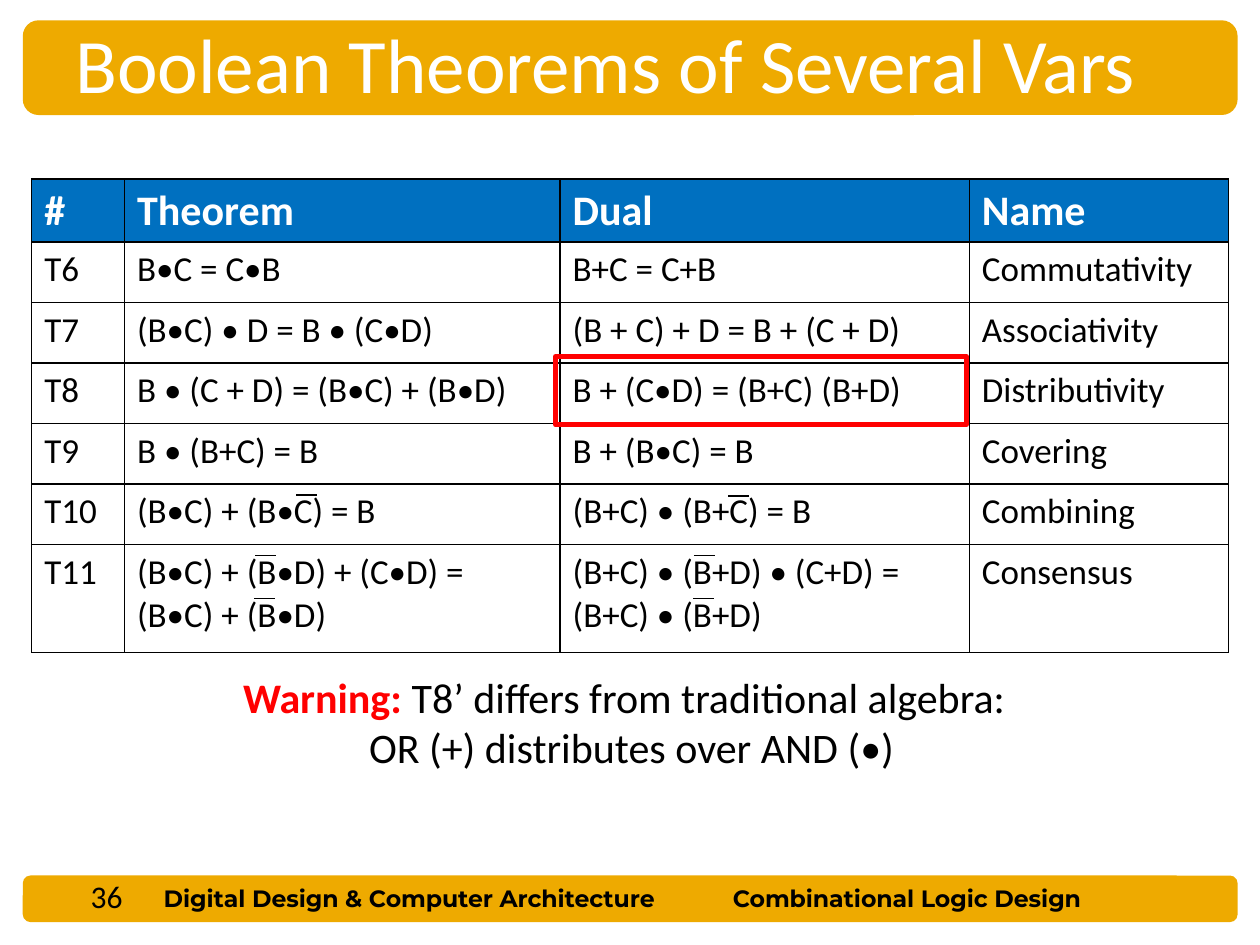
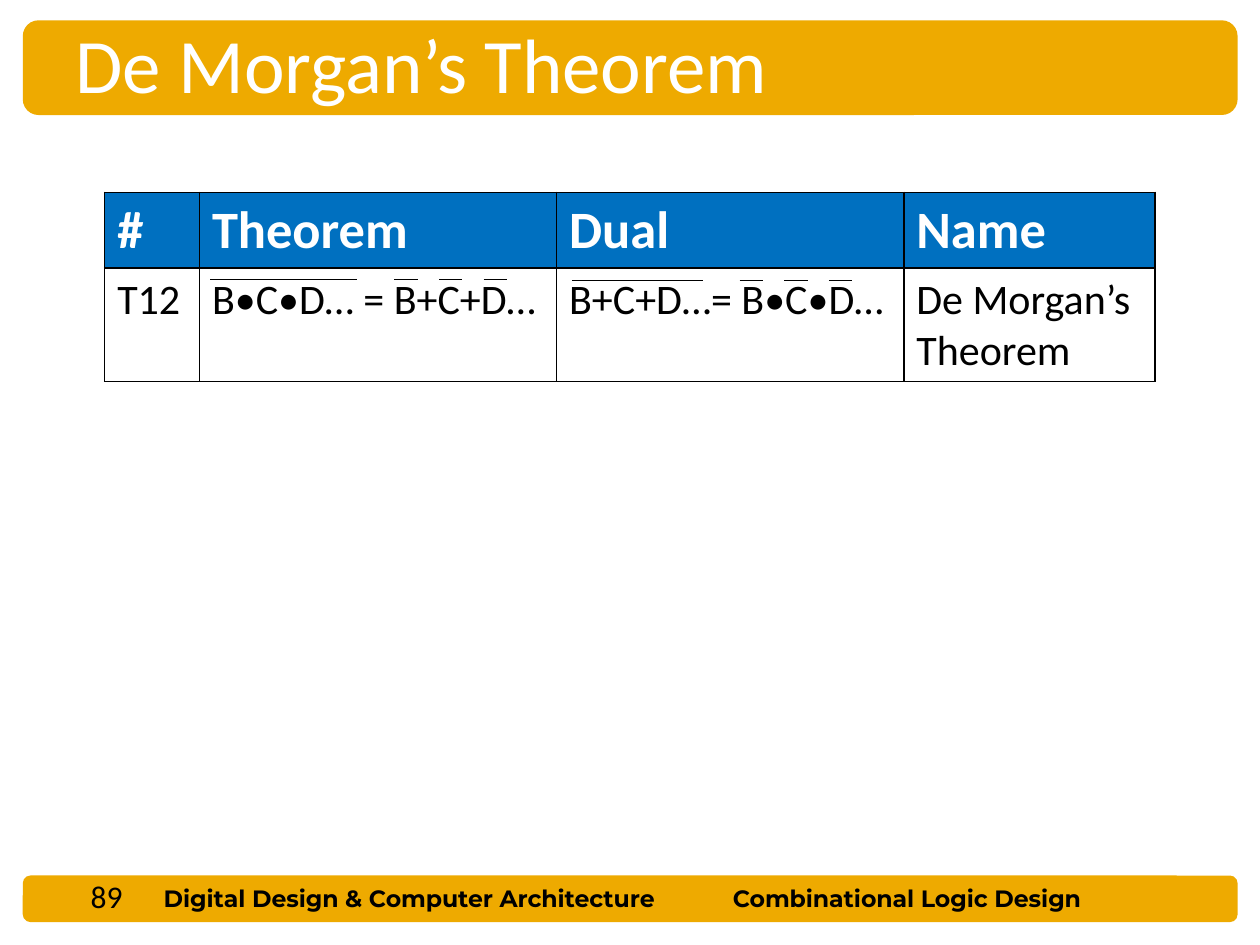
import dataclasses

import lxml.etree
import pptx
import pptx.dml.color
import pptx.enum.shapes
import pptx.enum.text
import pptx.oxml
import pptx.oxml.ns
import pptx.util

Cm = pptx.util.Cm
Pt = pptx.util.Pt
RGB = pptx.dml.color.RGBColor
ALIGN = pptx.enum.text.PP_ALIGN
SHAPE = pptx.enum.shapes.MSO_SHAPE
qn = pptx.oxml.ns.qn


@dataclasses.dataclass(frozen=True)
class Theme:
    band: RGB = RGB.from_string("EEAA00")
    header: RGB = RGB.from_string("0070C0")
    alert: RGB = RGB.from_string("FF0000")
    ink: RGB = RGB.from_string("000000")
    paper: RGB = RGB.from_string("FFFFFF")
    body_font: str = "Calibri"
    footer_font: str = "Montserrat"
    title_size: float = 44
    warning_size: float = 24
    page_size: float = 18
    footer_size: float = 13.5


theme = Theme()

BORDER = (
    '<a:{side} xmlns:a="http://schemas.openxmlformats.org/drawingml/2006/main" w="12700">'
    '<a:solidFill><a:srgbClr val="{color}"/></a:solidFill></a:{side}>'
)


def format_runs(frame, size, color, bold=False, font=theme.body_font):
    for paragraph in frame.paragraphs:
        for run in paragraph.runs:
            run.font.size = Pt(size)
            run.font.color.rgb = color
            run.font.bold = bold
            run.font.name = font


def add_text(slide, box, text, size, color, bold=False, font=theme.body_font, align=ALIGN.LEFT):
    frame = slide.shapes.add_textbox(*map(Cm, box)).text_frame
    frame.word_wrap = True
    frame.text = text
    for paragraph in frame.paragraphs:
        paragraph.alignment = align
    format_runs(frame, size, color, bold, font)
    return frame


several_vars = {
    "title": "Boolean Theorems of Several Vars",
    "page": "36",
    "origin": (0.64, 3.61),
    "columns": [1.87, 8.78, 8.25, 5.23],
    "row_heights": [1.26] + [1.22] * 5 + [2.17],
    "header_size": 24,
    "cell_size": 20,
    "theorems": [
        ("T6", "B•C = C•B", "B+C = C+B", "Commutativity"),
        ("T7", "(B•C) • D = B • (C•D)", "(B + C) + D = B + (C + D)", "Associativity"),
        ("T8", "B • (C + D) = (B•C) + (B•D)", "B + (C•D) = (B+C) (B+D)", "Distributivity"),
        ("T9", "B • (B+C) = B", "B + (B•C) = B", "Covering"),
        ("T10", "(B•C) + (B•C) = B", "(B+C) • (B+C) = B", "Combining"),
        ("T11", "(B•C) + (B•D) + (C•D) =\n(B•C) + (B•D)",
         "(B+C) • (B+D) • (C+D) =\n(B+C) • (B+D)", "Consensus"),
    ],
    # Negation bars: left, top, length
    "overbars": [
        (5.97, 9.98, 0.42), (14.68, 10, 0.42),
        (5.15, 11.2, 0.42), (13.99, 11.2, 0.42),
        (5.13, 12.07, 0.42), (13.97, 12.07, 0.42),
    ],
}

de_morgan = {
    "title": "De Morgan’s Theorem",
    "page": "89",
    "origin": (2.11, 3.88),
    "columns": [1.91, 7.2, 7, 5.06],
    "row_heights": [1.52, 2.29],
    "header_size": 30,
    "cell_size": 24,
    "theorems": [("T12", "B•C•D… = B+C+D…", "B+C+D…= B•C•D…", "De Morgan’s Theorem")],
    "overbars": [(4.24, 5.64, 2.95), (11.53, 5.66, 2.64)] + [
        (left + 0.9 * letter, top, 0.47)
        for left, top in [(7.95, 5.64), (14.91, 5.66)]
        for letter in range(3)
    ],
}

deck = pptx.Presentation()
deck.slide_width, deck.slide_height = Cm(25.4), Cm(19.05)
blank = deck.slide_layouts[6]
slides = []

for lesson in (several_vars, de_morgan):
    slide = deck.slides.add_slide(blank)
    slides.append(slide)

    # Bands, footer and title
    for top, height in [(17.65, 0.94), (0.41, 1.91)]:
        band = slide.shapes.add_shape(
            SHAPE.ROUNDED_RECTANGLE, Cm(0.46), Cm(top), Cm(24.49), Cm(height))
        band.shadow.inherit = False
        band.fill.solid()
        band.fill.fore_color.rgb = theme.band
        band.line.fill.background()
    for left, width, footer, align in [
        (3.05, 11.28, "Digital Design & Computer Architecture", ALIGN.LEFT),
        (11.86, 12.85, "Combinational Logic Design", ALIGN.CENTER),
    ]:
        add_text(slide, (left, 17.7, width, 0.84), footer, theme.footer_size,
                 theme.ink, True, theme.footer_font, align)
    add_text(slide, (1.27, 0.2, 22.02, 2.13), lesson["title"], theme.title_size, theme.paper)
    add_text(slide, (-2.11, 17.55, 4.83, 0.99), lesson["page"], theme.page_size,
             theme.ink, align=ALIGN.RIGHT)

    # Theorem table
    rows = [("#", "Theorem", "Dual", "Name")] + lesson["theorems"]
    widths, heights = lesson["columns"], lesson["row_heights"]
    left, top = lesson["origin"]
    theorem_table = slide.shapes.add_table(
        len(rows), len(widths), Cm(left), Cm(top), Cm(sum(widths)), Cm(sum(heights))).table
    for column, width in zip(theorem_table.columns, widths):
        column.width = Cm(width)
    for row, height, values in zip(theorem_table.rows, heights, rows):
        row.height = Cm(height)
        is_header = values is rows[0]
        for cell, value in zip(row.cells, values):
            cell.text_frame.text = value
            format_runs(cell.text_frame,
                        lesson["header_size"] if is_header else lesson["cell_size"],
                        theme.paper if is_header else theme.ink, is_header)
            properties = cell._tc.get_or_add_tcPr()
            for side in ("lnL", "lnR", "lnT", "lnB"):
                properties.append(pptx.oxml.parse_xml(BORDER.format(side=side, color=theme.ink)))
            cell.fill.solid()
            cell.fill.fore_color.rgb = theme.header if is_header else theme.paper

    for left, top, length in lesson["overbars"]:
        overbar = slide.shapes.add_connector(
            pptx.enum.shapes.MSO_CONNECTOR.STRAIGHT,
            Cm(left), Cm(top), Cm(left + length), Cm(top))
        overbar.line.color.rgb = theme.ink
        overbar.line.width = Pt(0.75)
        lxml.etree.SubElement(overbar._element.spPr, qn("a:effectLst"))

# Warning about the dual of T8
warning = add_text(
    slides[0], (4.65, 13.41, 17.63, 2.31),
    "Warning:\nOR (+) distributes over AND (•)", theme.warning_size, theme.ink)
warning.paragraphs[0].add_run().text = " T8’ differs from traditional algebra:"
format_runs(warning, theme.warning_size, theme.ink)
warning_word = warning.paragraphs[0].runs[0]
warning_word.font.bold = True
warning_word.font.color.rgb = theme.alert
warning.paragraphs[1]._p.get_or_add_pPr().set("marL", str(Cm(2.54)))

t8_dual_frame = slides[0].shapes.add_shape(
    SHAPE.RECTANGLE, Cm(11.2), Cm(7.19), Cm(8.28), Cm(1.37))
t8_dual_frame.shadow.inherit = False
t8_dual_frame.fill.background()
t8_dual_frame.line.color.rgb = theme.alert
t8_dual_frame.line.width = Pt(3)

deck.save("out.pptx")
